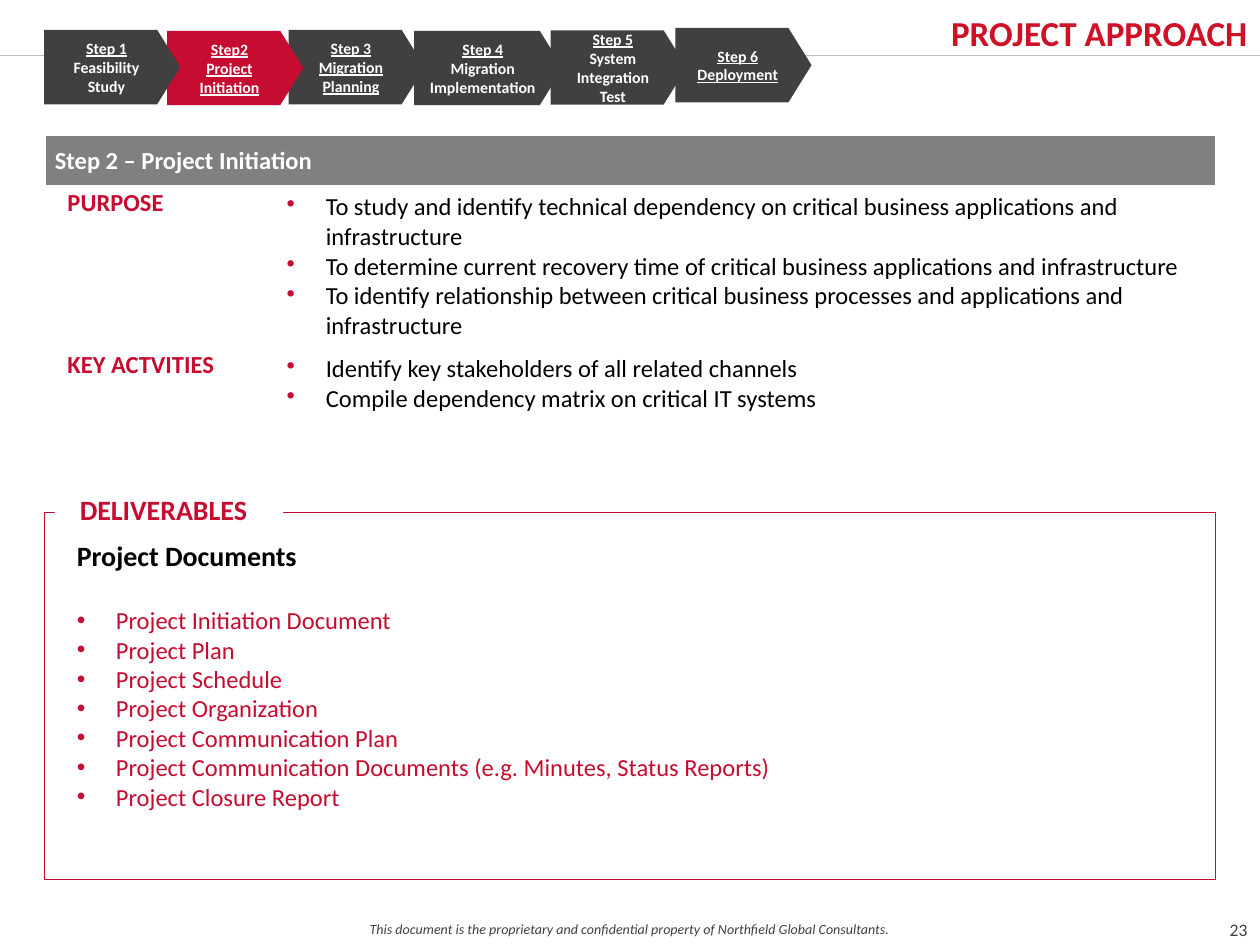
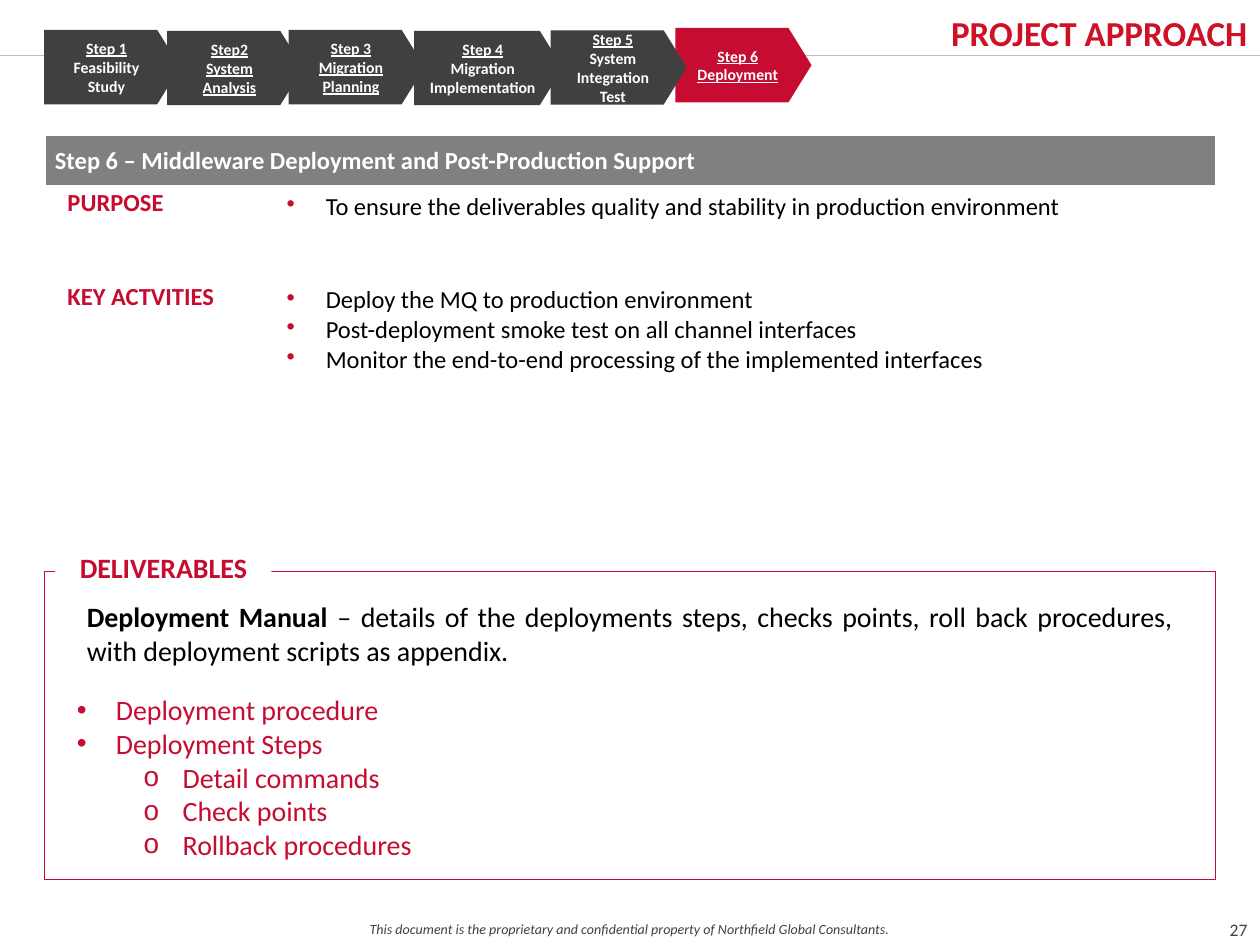
from lxml import etree
from pptx import Presentation
from pptx.dml.color import RGBColor
from pptx.enum import shapes, text
from pptx.oxml import ns
from pptx.util import Pt

FONT = "Calibri"
RED, TITLE_RED = "C60C30", "CE1126"
DARK, GREY, LIGHT = "404040", "808080", "BFBFBF"
BLACK, WHITE = "000000", "FFFFFF"
LEFT, WIDTH = 25.2, 669
INDENT = 22.3
FRAME_BOTTOM = 502.3
FOOTER = "This document is the proprietary and confidential property of Northfield Global Consultants."

STEPS = [
    ("Step 1", "Feasibility Study", 25.2, 17.1, 77.8, False),
    ("Step2", "System Analysis", 95.5, 17.6, 77.8, True),
    ("Step 3", "Migration Planning", 164.9, 17.1, 77.8, True),
    ("Step 4", "Migration Implementation", 236.6, 17.6, 85, False),
    ("Step 5", "System Integration Test", 314.6, 17.3, 77.8, False),
    ("Step 6", "Deployment", 385.9, 16, 77.8, True),
]


def color(value):
    return RGBColor.from_string(value)


def set_font(font, size, value, bold=False, italic=False, underline=False):
    font.name, font.size, font.bold = FONT, Pt(size), bold
    font.italic, font.underline = italic, underline
    font.color.rgb = color(value)


def set_frame(frame, insets=(7.2, 3.6, 7.2, 3.6), anchor=text.MSO_ANCHOR.TOP):
    frame.word_wrap = True
    frame.auto_size = text.MSO_AUTO_SIZE.NONE
    frame.vertical_anchor = anchor
    frame.margin_left, frame.margin_top, frame.margin_right, frame.margin_bottom = map(Pt, insets)


def add_paragraphs(frame, lines):
    paragraphs = [frame.paragraphs[0]]
    paragraphs += [frame.add_paragraph() for _ in lines[1:]]
    for paragraph, line in zip(paragraphs, lines):
        paragraph.text = line
    return paragraphs


def set_indent(paragraph, left, first=0):
    properties = paragraph._p.get_or_add_pPr()
    properties.set("marL", str(Pt(left)))
    properties.set("indent", str(Pt(first)))
    return properties


def set_bullet(paragraph, left=INDENT, character="•"):
    properties = set_indent(paragraph, left, -INDENT)
    bullet_color = etree.SubElement(properties, ns.qn("a:buClr"))
    etree.SubElement(bullet_color, ns.qn("a:srgbClr"), val=RED)
    etree.SubElement(properties, ns.qn("a:buChar"), char=character)
    paragraph.space_before = Pt(0)


def remove_bullet(paragraph):
    etree.SubElement(set_indent(paragraph, 0), ns.qn("a:buNone"))
    paragraph.space_before = Pt(0)


def place(shape, left, top, width, height):
    shape.left, shape.top, shape.width, shape.height = map(Pt, (left, top, width, height))


def add_text(slide, box, content, size, value, italic=False, **frame_options):
    shape = slide.shapes.add_textbox(*map(Pt, box))
    set_frame(shape.text_frame, **frame_options)
    paragraph = add_paragraphs(shape.text_frame, [content])[0]
    paragraph.alignment = text.PP_ALIGN.CENTER
    set_font(paragraph.font, size, value, italic=italic)


def add_shape(slide, kind, box, fill=None, line=None):
    shape = slide.shapes.add_shape(kind, *map(Pt, box))
    shape.shadow.inherit = False
    if fill:
        shape.fill.solid()
        shape.fill.fore_color.rgb = color(fill)
    else:
        shape.fill.background()
    if line:
        shape.line.color.rgb = color(line)
        shape.line.width = Pt(0.25)
    else:
        shape.line.fill.background()
    set_frame(shape.text_frame)
    return shape


def add_rule(slide):
    rule = slide.shapes.add_connector(shapes.MSO_CONNECTOR.STRAIGHT, Pt(0), Pt(31.7), Pt(720), Pt(31.7))
    rule.line.color.rgb = color(LIGHT)
    rule.line.width = Pt(0.5)
    etree.SubElement(rule._element.spPr, ns.qn("a:effectLst"))


def set_title(slide):
    title = slide.shapes.title
    place(title, 288.7, 1.4, 431.3, 30.2)
    set_frame(title.text_frame, (0, 5, 7.2, 5))
    paragraph = add_paragraphs(title.text_frame, ["PROJECT APPROACH"])[0]
    paragraph.alignment = text.PP_ALIGN.RIGHT
    set_font(paragraph.font, 20, TITLE_RED, bold=True)


def add_steps(slide, active, renamed):
    for number in range(len(STEPS), 0, -1):
        label, name, left, top, width, underlined = STEPS[number - 1]
        arrow = add_shape(slide, shapes.MSO_SHAPE.PENTAGON, (left, top, width, 42.5),
                          RED if number == active else DARK)
        arrow.adjustments[0] = 0.31
        arrow.text_frame.vertical_anchor = text.MSO_ANCHOR.MIDDLE
        lines = [label, renamed.get(number, name)]
        for paragraph, underline in zip(add_paragraphs(arrow.text_frame, lines), (True, underlined)):
            paragraph.alignment = text.PP_ALIGN.CENTER
            set_font(paragraph.font, 9, WHITE, bold=True, underline=underline)


def fill_cell(cell, lines, fill, value, bold):
    cell.fill.solid()
    cell.fill.fore_color.rgb = color(fill)
    cell.margin_left = cell.margin_right = Pt(5.76)
    cell.margin_top = cell.margin_bottom = Pt(3.6)
    paragraphs = add_paragraphs(cell.text_frame, lines)
    for paragraph in paragraphs:
        set_font(paragraph.font, 14, value, bold=bold)
    return paragraphs


def add_step_table(slide, heading, purposes, activities, purpose_height):
    heights = (28.8, purpose_height, 95.8)
    table = slide.shapes.add_table(3, 2, Pt(LEFT + 0.4), Pt(77.4), Pt(WIDTH), Pt(sum(heights))).table
    table.horz_banding = False
    for column, width in zip(table.columns, (132.5, 536.5)):
        column.width = Pt(width)
    for row, height in zip(table.rows, heights):
        row.height = Pt(height)
    header = table.cell(0, 0)
    header.merge(table.cell(0, 1))
    fill_cell(header, [heading], GREY, WHITE, True)
    header.vertical_anchor = text.MSO_ANCHOR.MIDDLE
    for row, (label, items) in enumerate((("PURPOSE", purposes), ("KEY ACTVITIES", activities)), 1):
        paragraph = fill_cell(table.cell(row, 0), [label], WHITE, RED, True)[0]
        set_indent(paragraph, 7.2)
        paragraph.line_spacing = Pt(15)
        for paragraph in fill_cell(table.cell(row, 1), items, WHITE, BLACK, False):
            set_bullet(paragraph)


def add_deliverables_frame(slide, top, label_width):
    add_shape(slide, shapes.MSO_SHAPE.RECTANGLE, (LEFT, top, WIDTH, FRAME_BOTTOM - top), line=RED)
    label = add_shape(slide, shapes.MSO_SHAPE.RECTANGLE, (31.3, top - 10.8, label_width, 22.7), WHITE)
    paragraph = add_paragraphs(label.text_frame, ["DELIVERABLES"])[0]
    paragraph.alignment = text.PP_ALIGN.LEFT
    set_indent(paragraph, 7.2)
    paragraph.line_spacing = Pt(15)
    set_font(paragraph.font, 16, RED, bold=True)


def set_body(slide, box, lines):
    body = slide.placeholders[1]
    place(body, *box)
    set_frame(body.text_frame)
    return add_paragraphs(body.text_frame, lines)


def add_step_slide(presentation, page, active, renamed, table, frame):
    slide = presentation.slides.add_slide(presentation.slide_layouts[1])
    add_text(slide, (0, 522.7, 720, 17.3), FOOTER, 8, DARK, italic=True)
    add_text(slide, (691.2, 515.5, 33.1, 31), page, 10, DARK, anchor=text.MSO_ANCHOR.MIDDLE)
    add_rule(slide)
    set_title(slide)
    add_step_table(slide, *table)
    add_deliverables_frame(slide, *frame)
    add_steps(slide, active, renamed)
    return slide


def add_initiation_slide(presentation):
    purposes = [
        "To study and identify technical dependency on critical business applications and infrastructure",
        "To determine current recovery time of critical business applications and infrastructure",
        "To identify relationship between critical business processes and applications and infrastructure",
    ]
    activities = [
        "Identify key stakeholders of all related channels",
        "Compile dependency matrix on critical IT systems",
    ]
    table = ("Step 2 – Project Initiation", purposes, activities, 84.2)
    slide = add_step_slide(presentation, "23", 2, {2: "Project Initiation"}, table, (292.8, 130.3))
    documents = [
        "Project Initiation Document",
        "Project Plan",
        "Project Schedule",
        "Project Organization",
        "Project Communication Plan",
        "Project Communication Documents (e.g. Minutes, Status Reports)",
        "Project Closure Report",
    ]
    heading, *items = set_body(slide, (36.7, 304, 646.6, 165), ["Project Documents"] + documents)
    remove_bullet(heading)
    set_font(heading.font, 16, BLACK, bold=True)
    for paragraph in items:
        set_bullet(paragraph)
        set_font(paragraph.font, 14, RED)
    items[0].space_before = Pt(19)


def add_deployment_slide(presentation):
    purposes = ["To ensure the deliverables quality and stability in production environment"]
    activities = [
        "Deploy the MQ to production environment",
        "Post-deployment smoke test on all channel interfaces",
        "Monitor the end-to-end processing of the implemented interfaces",
    ]
    heading = "Step 6 – Middleware Deployment and Post-Production Support"
    table = (heading, purposes, activities, 53.3)
    slide = add_step_slide(presentation, "27", 6, {}, table, (326.2, 123.8))

    manual = slide.shapes.add_textbox(Pt(42.5), Pt(339.1), Pt(635), Pt(46))
    set_frame(manual.text_frame)
    paragraph = manual.text_frame.paragraphs[0]
    paragraph.alignment = text.PP_ALIGN.JUSTIFY
    details = "– details of the deployments steps, checks points, roll back procedures, with deployment scripts as appendix."
    for content, bold in (("Deployment Manual ", True), (details, False)):
        run = paragraph.add_run()
        run.text = content
        set_font(run.font, 16, BLACK, bold=bold)

    main_items = ["Deployment procedure", "Deployment Steps"]
    sub_items = ["Detail commands", "Check points", "Rollback procedures"]
    paragraphs = set_body(slide, (36.7, 392.4, 339.8, 104.4), main_items + sub_items)
    for position, paragraph in enumerate(paragraphs):
        if position < len(main_items):
            set_bullet(paragraph)
        else:
            paragraph.level = 1
            set_bullet(paragraph, 60.5, "o")
        set_font(paragraph.font, 16, RED)


def main():
    presentation = Presentation()
    presentation.slide_width, presentation.slide_height = Pt(720), Pt(540)
    add_initiation_slide(presentation)
    add_deployment_slide(presentation)
    presentation.save("out.pptx")


if __name__ == "__main__":
    main()
